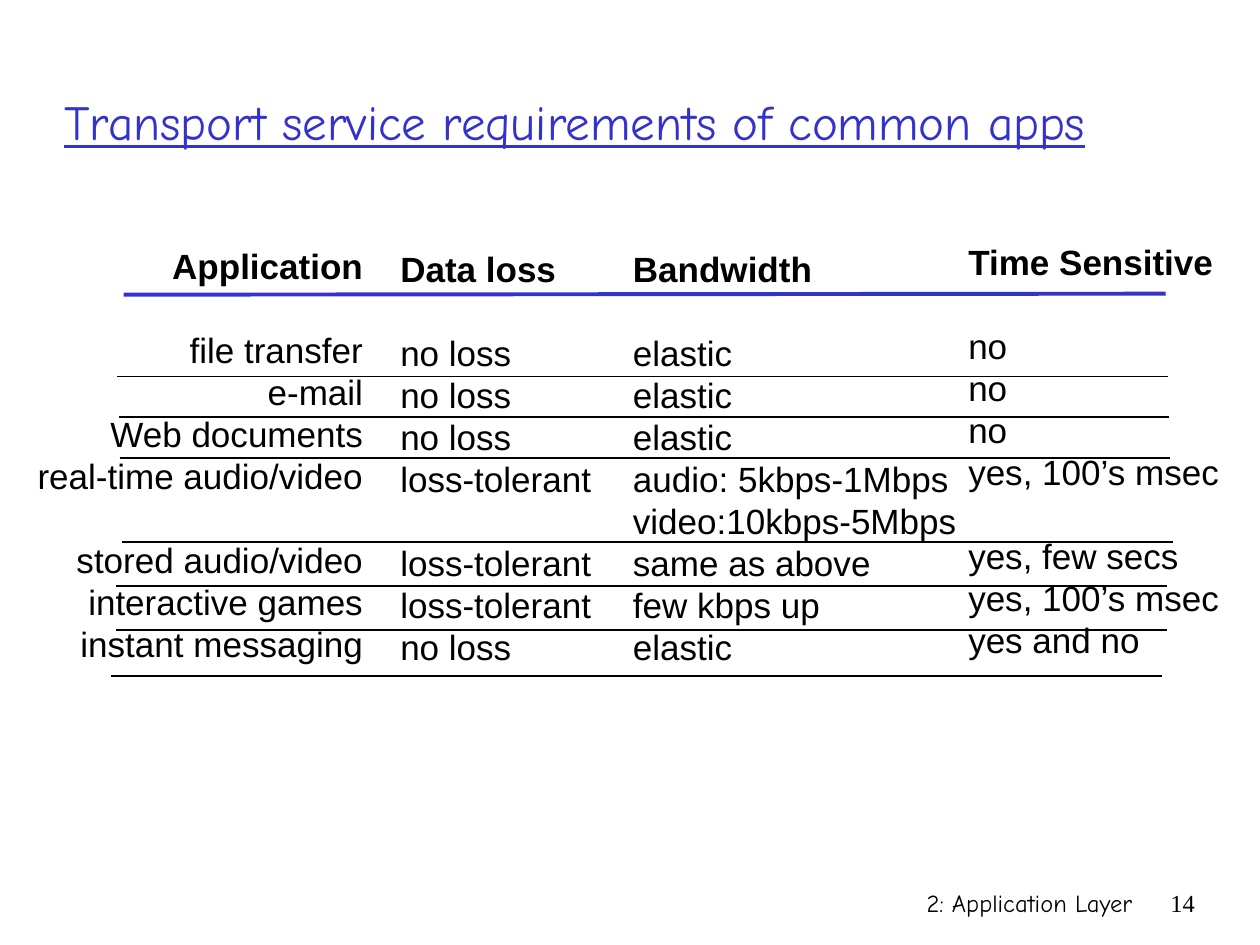
from pptx import Presentation
from pptx.dml.color import RGBColor
from pptx.enum.shapes import MSO_CONNECTOR
from pptx.enum.text import MSO_ANCHOR, MSO_AUTO_SIZE, PP_ALIGN
from pptx.oxml.ns import qn
from pptx.util import Cm, Pt
from lxml.etree import SubElement

COLORS = {"blue": "3333CC", "black": "000000"}
PITCH = Pt(24)

# Left, top, width, alignment, entries; None leaves a row free.
COLUMNS = [
    (0.41, 4.8, 7.16, PP_ALIGN.RIGHT,
     ["Application", None, "file transfer", "e-mail", "Web documents",
      "real-time audio/video", None, "stored audio/video",
      "interactive games", "instant messaging"]),
    (7.82, 4.86, 4.5, PP_ALIGN.LEFT,
     ["Data loss", None, "no loss", "no loss", "no loss", "loss-tolerant",
      None, "loss-tolerant", "loss-tolerant", "no loss"]),
    (12.51, 4.86, 7.16, PP_ALIGN.LEFT,
     ["Bandwidth", None, "elastic", "elastic", "elastic",
      "audio: 5kbps-1Mbps", "video:10kbps-5Mbps", "same as above",
      "few kbps up", "elastic"]),
    (19.27, 4.72, 5.74, PP_ALIGN.LEFT,
     ["Time Sensitive", None, "no", "no", "no", "yes, 100’s msec",
      None, "yes, few secs", "yes, 100’s msec", "yes and no"]),
]

RULE_WIDTH = 21.18
RULES = [(2.36, 7.59), (2.39, 8.41), (2.41, 9.24), (2.46, 10.92),
         (2.34, 11.81), (2.34, 12.7), (2.24, 13.62)]


def style(para, size, face, color="black", bold=False, align=PP_ALIGN.LEFT):
    para.alignment = align
    for run in para.runs:
        font = run.font
        font.size, font.name, font.bold = Pt(size), face, bold
        font.color.rgb = RGBColor.from_string(COLORS[color])


def add_title(slide, text):
    title = slide.shapes.title
    title.left, title.top = Cm(1.04), Cm(0.84)
    title.width, title.height = Cm(22.78), Cm(3.18)
    frame = title.text_frame
    frame.text = text
    frame.auto_size = MSO_AUTO_SIZE.NONE
    frame.vertical_anchor = MSO_ANCHOR.MIDDLE
    para = frame.paragraphs[0]
    style(para, 28, "Comic Neue", "blue")
    para.runs[0].font.underline = True


def add_box(slide, left, top, width, height):
    box = slide.shapes.add_textbox(Cm(left), Cm(top), Cm(width), Cm(height))
    box.text_frame.word_wrap = True
    return box.text_frame


def add_column(slide, left, top, width, align, rows):
    """Stack the entries at an even pitch, the first one as a bold head."""
    frame = add_box(slide, left, top, width, 8.74)
    frame.text = "\n".join(row for row in rows if row)
    places = [i for i, row in enumerate(rows) if row]
    for para, place in zip(frame.paragraphs, places):
        style(para, 20, "Arial", bold=place == 0, align=align)
        para.line_spacing = PITCH
        if place and rows[place - 1] is None:
            para.space_before = PITCH


def add_note(slide, text, left, width, face):
    frame = add_box(slide, left, 17.78, width, 1.27)
    frame.text = text
    style(frame.paragraphs[0], 14, face, align=PP_ALIGN.RIGHT)


def add_rule(slide, left, top, right, end, color="black", weight=1):
    rule = slide.shapes.add_connector(
        MSO_CONNECTOR.STRAIGHT, Cm(left), Cm(top), Cm(right), Cm(end))
    rule.line.color.rgb = RGBColor.from_string(COLORS[color])
    rule.line.width = Pt(weight)
    SubElement(rule.element.spPr, qn("a:effectLst"))


def main():
    deck = Presentation()
    deck.slide_width, deck.slide_height = Cm(25.4), Cm(19.05)
    slide = deck.slides.add_slide(deck.slide_layouts[5])
    add_note(slide, "2: Application Layer", 15.03, 8.05, "Comic Neue")
    add_note(slide, "14", 23.07, 1.27, "Times New Roman")
    add_title(slide, "Transport service requirements of common apps")
    for column in COLUMNS:
        add_column(slide, *column)
    add_rule(slide, 2.49, 5.94, 23.5, 5.92, "blue", 2.25)
    for left, top in RULES:
        add_rule(slide, left, top, left + RULE_WIDTH, top)
    deck.save("out.pptx")


if __name__ == "__main__":
    main()
